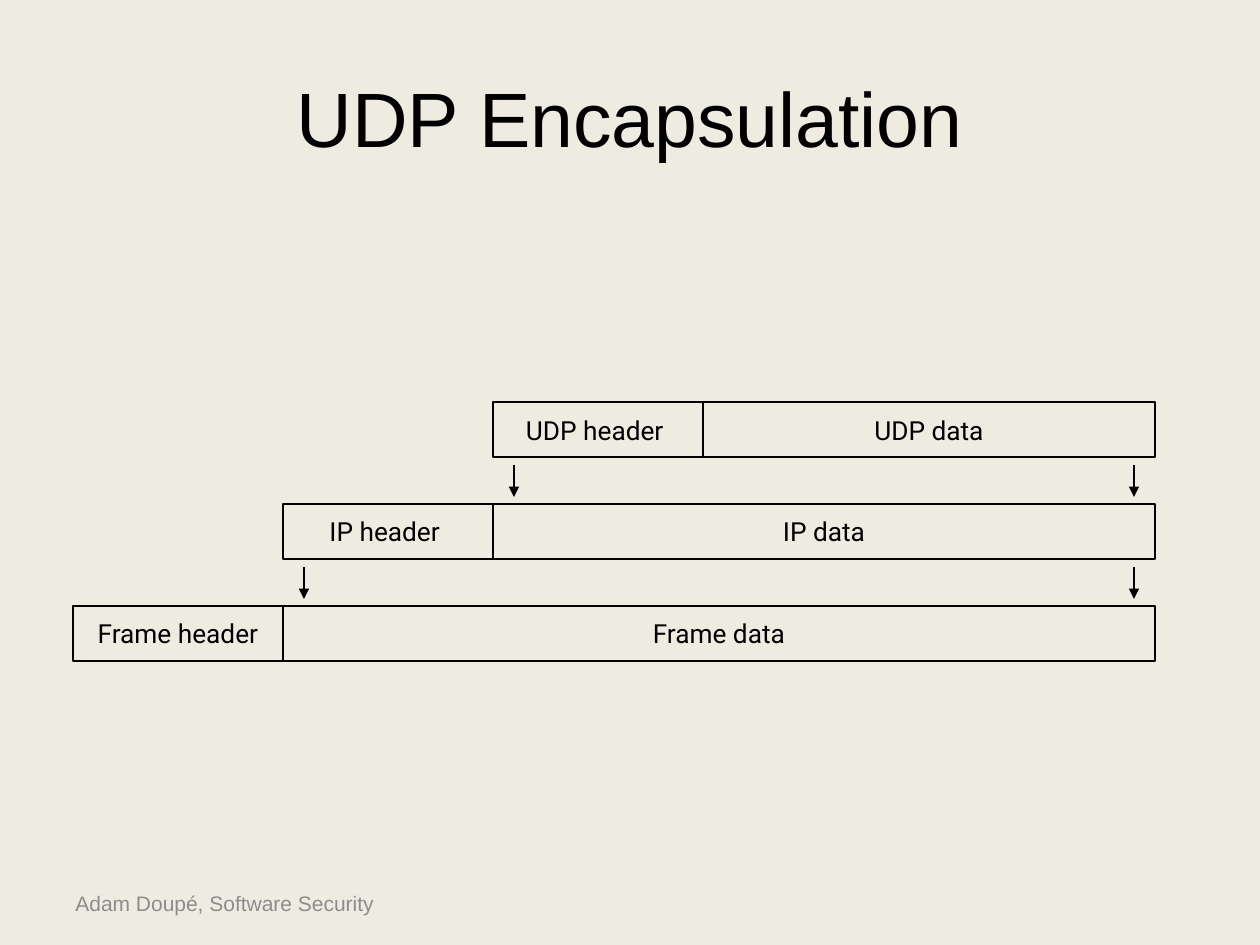
from lxml import etree
from pptx import Presentation
from pptx import util as u
from pptx.dml.color import RGBColor
from pptx.enum import shapes, text
from pptx.oxml.ns import qn

PX = 914400 / 126
COLORS = {"background": "EEECE1", "ink": "000000", "footer": "8C8C8C"}


def px(length):
    return u.Emu(round(length * PX))


def color(name):
    return RGBColor.from_string(COLORS[name])


def write(shape, words, font, size, ink, align):
    frame = shape.text_frame
    frame.vertical_anchor = text.MSO_ANCHOR.MIDDLE
    paragraph = frame.paragraphs[0]
    paragraph.alignment = align
    run = paragraph.add_run()
    run.text = words
    run.font.name = font
    run.font.size = u.Pt(size)
    run.font.color.rgb = color(ink)
    return frame


def add_title(slide, left, top, width, height):
    title = slide.shapes.title
    title.left, title.top, title.width, title.height = map(px, (left, top, width, height))
    write(title, "UDP Encapsulation", "Arial", 44, "ink", text.PP_ALIGN.CENTER)


def add_footer(slide, left, top, width, height):
    footer = slide.shapes.add_textbox(*map(px, (left, top, width, height)))
    frame = write(footer, "Adam Doupé, Software Security", "Arial", 12, "footer",
                  text.PP_ALIGN.LEFT)
    frame.word_wrap = True


def add_field(slide, words, left, top, width, height):
    field = slide.shapes.add_shape(shapes.MSO_SHAPE.RECTANGLE,
                                   *map(px, (left, top, width, height)))
    field.shadow.inherit = False
    field.fill.background()
    field.line.color.rgb = color("ink")
    field.line.width = u.Pt(1)
    frame = write(field, words, "Roboto", 15, "ink", text.PP_ALIGN.CENTER)
    frame.word_wrap = False
    frame.margin_left = frame.margin_right = px(11)
    frame.margin_top = frame.margin_bottom = px(5)


def add_down_arrow(slide, x, top, length):
    arrow = slide.shapes.add_connector(shapes.MSO_CONNECTOR.STRAIGHT,
                                       *map(px, (x, top, x, top + length)))
    arrow.line.color.rgb = color("ink")
    arrow.line.width = u.Pt(1)
    etree.SubElement(arrow.line._get_or_add_ln(), qn("a:tailEnd"), type="triangle")
    etree.SubElement(arrow._element.spPr, qn("a:effectLst"))


def add_encapsulation(slide, left, top, width):
    """Stack the packets; each one's data field spans the whole packet above."""
    layers = [("UDP header ", "UDP data"), ("IP header ", "IP data"),
              ("Frame header", "Frame data")]
    header_width, row_height, row_pitch = 210, 55, 102
    right = left + width
    last = len(layers) - 1
    for index, (header, data) in enumerate(layers):
        row_left = left + (last - index) * header_width
        row_top = top + index * row_pitch
        data_left = row_left + header_width
        add_field(slide, header, row_left, row_top, header_width, row_height)
        add_field(slide, data, data_left, row_top, right - data_left, row_height)
        # Arrows down into the next layer
        if index < last:
            for x in (row_left + 21, right - 21):
                add_down_arrow(slide, x, row_top + row_height + 8, 32)


def main():
    presentation = Presentation()
    presentation.slide_width, presentation.slide_height = px(1260), px(945)
    slide = presentation.slides.add_slide(presentation.slide_layouts.get_by_name("Title Only"))
    slide.background.fill.solid()
    slide.background.fill.fore_color.rgb = color("background")
    add_footer(slide, 63, 878, 537, 50)
    add_title(slide, 63, 38, 1134, 158)
    add_encapsulation(slide, 73, 402, 1082)
    presentation.save("out.pptx")


if __name__ == "__main__":
    main()
